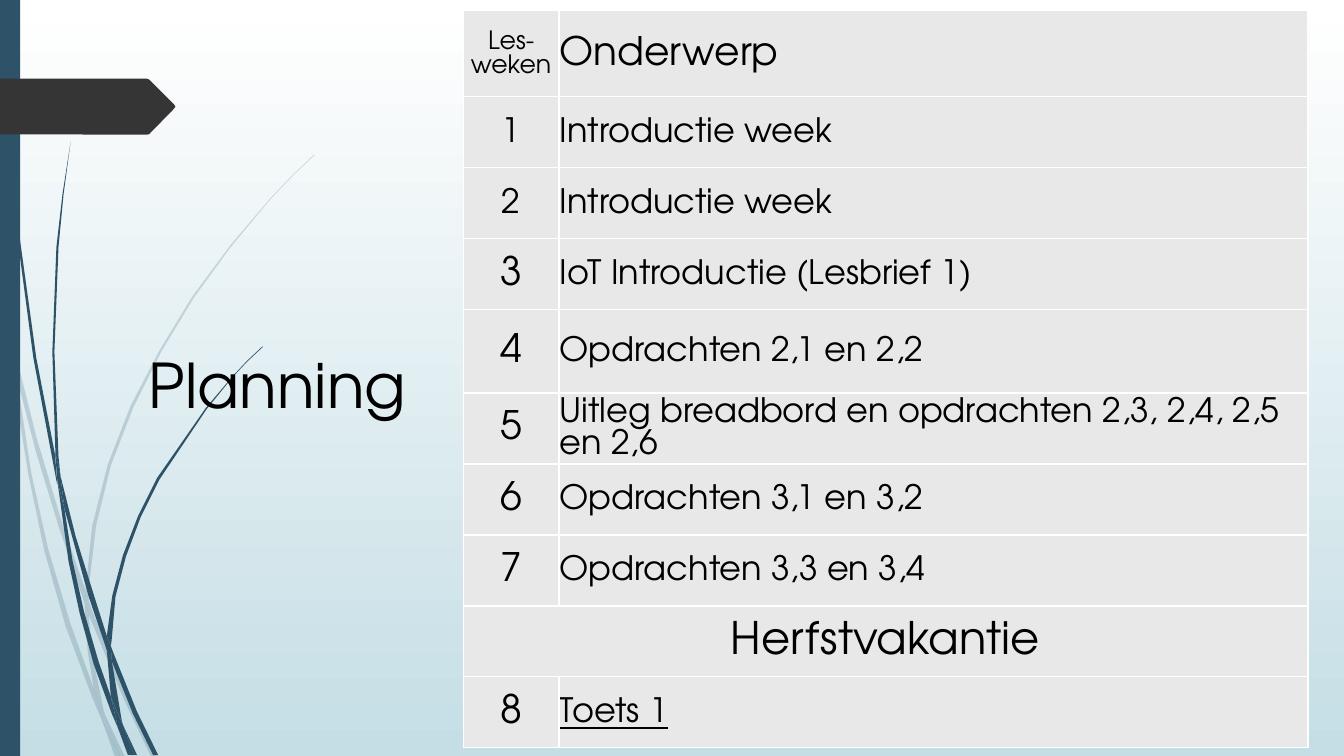
from dataclasses import dataclass

from lxml import etree
from pptx import Presentation
from pptx import util as u
from pptx.dml.color import RGBColor
from pptx.enum import shapes, text
from pptx.oxml import ns

FONT = "TeX Gyre Adventor"
HUES = {"top": "FFFFFF", "base": "C5DEE5", "stem": "2E5369", "tab": "353535",
        "cell": "E8E8E8", "rule": "FFFFFF", "ink": "000000"}


@dataclass
class Grass:
    """A group of blades, each an outline of (x, y) corners."""
    blades: list
    alpha: int = 100


@dataclass
class Row:
    week: str
    topic: str
    high: float = 50.7
    size: int = 28
    big: int = 24
    under: bool = False


PALE = Grass([
    [(7.9, 252), (6.5, 231.8), (0, 203), (0, 215.3), (7.2, 247.7)],
    [(41.8, 375.8), (60.5, 431.3), (61.2, 421.9), (44.6, 374.4),
     (25.9, 311.8), (10.1, 248.4), (12.2, 270.7), (25.9, 323.6)],
    [(66.2, 437), (63.4, 429.1), (63.4, 439.2), (88.6, 499.7),
     (108, 540.7), (111.6, 540.7), (91.4, 498.2)],
    [(85.7, 540.7), (89.3, 540.7), (75.6, 511.9)],
    [(67, 491.8), (50.4, 445.7), (34.5, 392.4), (22.3, 337.7),
     (12.2, 270.7), (7.9, 252), (13.2, 295.2), (20.2, 338.4),
     (31.6, 393.1), (46.8, 447.1), (66.2, 499), (72.7, 514.1), (71.3, 509)],
    [(60.5, 431.3), (62.6, 465.1), (67, 491.8), (69.1, 498.2),
     (75.6, 511.9), (74.2, 508.3), (65.5, 465.1), (63.4, 439.2),
     (63.4, 437.8)],
    [(63.4, 420.5), (68.6, 375.8), (79.2, 332.6), (95.3, 291),
     (115.2, 251.3), (138.4, 212.8), (164.9, 176.4), (193, 142.6),
     (208.8, 126), (224.6, 110.9), (224.6, 110.2), (208.1, 126),
     (193, 141.8), (164.2, 175.7), (137.3, 212), (113.8, 250.6),
     (93.2, 290.2), (77, 331.9), (65.9, 375.7), (61.2, 420.5),
     (61.2, 421.9), (63.4, 429.1)],
    [(72.7, 514.1), (82.1, 540.7), (85.7, 540.7)],
    [(63.4, 437.8), (63.4, 439.2), (63.4, 429.1), (61.2, 421.9),
     (60.5, 431.3)],
    [(69.1, 498.2), (67, 491.8), (71.3, 509), (72.7, 514.1),
     (85.7, 540.7), (75.6, 511.9)],
], 20)

DARK = Grass([
    [(5, 79.2), (12.2, 167.8), (23.8, 255.6), (40.3, 343.4), (41, 346.3),
     (39.6, 329), (39.6, 326.2), (25.9, 255.6), (13.7, 167), (5.8, 78.5),
     (3.6, 34.6), (2.9, 0), (2.2, 0), (2.9, 34.6)],
    [(63.4, 426.2), (76.3, 464.4), (76.3, 455.8), (76.3, 454.3),
     (67, 424.8), (54, 383), (43.2, 339.8), (46.1, 363.6)],
    [(81.4, 467.3), (79.2, 461.5), (79.9, 472.3), (95, 509.8),
     (109.4, 539.3), (113, 539.3), (97.9, 508.3)],
    [(79.2, 497.5), (70.6, 473), (60.1, 437), (51.8, 400.3), (46.1, 363.6),
     (41, 343.4), (49, 401), (56.9, 437.8), (67, 474.5), (79.9, 509.8),
     (84.2, 519.8), (83.5, 516.2)],
    [(43.2, 339.8), (41.8, 326.2), (38.9, 251.3), (41.8, 176.4),
     (45.4, 139), (50.4, 101.5), (44.6, 139), (40.3, 176.4),
     (37.4, 251.3), (39.6, 323.3)],
    [(95.8, 539.3), (97.9, 539.3), (87.8, 517.7)],
    [(41, 343.4), (46.1, 363.6), (43.2, 339.8), (39.6, 323.3),
     (39.6, 326.2)],
    [(79.9, 455.8), (82.5, 426.2), (90, 397.4), (100.5, 369.4),
     (113.8, 342.7), (147.6, 292.3), (166.3, 269.3), (176.4, 258.5),
     (187.9, 247.7), (187.2, 247.7), (176.4, 257.8), (166.3, 268.6),
     (146.9, 291.6), (112.3, 341.3), (98.7, 368.4), (87.8, 396.7),
     (80.2, 425.5), (76.3, 454.3), (79.2, 461.5)],
    [(84.2, 519.8), (91.4, 539.3), (94.3, 539.3)],
    [(76.3, 464.4), (79.2, 497.5), (83.5, 508.3), (87.8, 517.7),
     (87.1, 515.5), (79.9, 472.3), (78.5, 468.7)],
    [(76.3, 464.4), (78.5, 468.7), (79.9, 472.3), (79.2, 461.5),
     (76.3, 454.3), (76.3, 455.8)],
    [(83.5, 508.3), (79.2, 497.5), (83.5, 516.2), (84.2, 519.8),
     (93.6, 539.3), (95.8, 539.3), (87.8, 517.7)],
])

TAB = [(124.6, 77.4), (106.6, 95.8), (105.1, 96.2), (0, 95.9), (0, 56.2),
       (105.1, 56.2), (106.6, 56.9), (124.6, 74.9), (125.3, 76.2)]

ROWS = [
    Row("Les- weken", "Onderwerp", high=61.8, size=18, big=28),
    Row("1", "Introductie week", size=24),
    Row("2", "Introductie week", size=24),
    Row("3", "IoT Introductie (Lesbrief 1)"),
    Row("4", "Opdrachten 2,1 en 2,2", high=59.5),
    Row("5", "Uitleg breadbord en opdrachten 2,3, 2,4, 2,5 en 2,6"),
    Row("6", "Opdrachten 3,1 en 3,2"),
    Row("7", "Opdrachten 3,3 en 3,4"),
    Row("Herfstvakantie", "", size=32),
    Row("8", "Toets 1", under=True),
]


def hue(name: str) -> RGBColor:
    return RGBColor.from_string(HUES[name])


def paint(shape, name: str) -> None:
    shape.shadow.inherit = False
    shape.fill.solid()
    shape.fill.fore_color.rgb = hue(name)
    shape.line.fill.background()


def draw_form(slide, dots: list, name: str, alpha: int = 100) -> None:
    edge = [(u.Pt(x), u.Pt(y)) for x, y in dots]
    pen = slide.shapes.build_freeform(*edge[0])
    pen.add_line_segments(edge[1:], close=True)
    form = pen.convert_to_shape()
    paint(form, name)
    if alpha < 100:
        tone = form.element.spPr.find(".//" + ns.qn("a:srgbClr"))
        etree.SubElement(tone, ns.qn("a:alpha"), val=str(alpha * 1000))


def style(para, size: int, align) -> None:
    para.alignment = align
    for run in para.runs:
        run.font.name = FONT
        run.font.size = u.Pt(size)
        run.font.color.rgb = hue("ink")


def fill_cell(cell, words: str, size: int, align) -> None:
    cell.fill.solid()
    cell.fill.fore_color.rgb = hue("cell")
    cell.vertical_anchor = text.MSO_ANCHOR.MIDDLE
    cell.margin_left = cell.margin_right = cell.margin_top = u.Pt(.5)
    cell.margin_bottom = u.Pt(0)
    props = cell._tc.get_or_add_tcPr()
    for i, side in enumerate("LRTB"):
        line = etree.Element(ns.qn(f"a:ln{side}"), w=str(u.Pt(1)))
        solid = etree.SubElement(line, ns.qn("a:solidFill"))
        etree.SubElement(solid, ns.qn("a:srgbClr"), val=HUES["rule"])
        props.insert(i, line)
    para = cell.text_frame.paragraphs[0]
    para.text = words
    para.line_spacing = u.Pt(round(size * .95, 1))
    style(para, size, align)


def add_plan(slide) -> None:
    wide = (68.4, 535)
    high = sum(row.high for row in ROWS)
    box = map(u.Pt, (330.9, 7.4, sum(wide), high))
    grid = slide.shapes.add_table(len(ROWS), 2, *box).table
    grid.first_row = grid.horz_banding = False
    for col, span in zip(grid.columns, wide):
        col.width = u.Pt(span)
    for i, row in enumerate(ROWS):
        grid.rows[i].height = u.Pt(row.high)
        week, topic = grid.cell(i, 0), grid.cell(i, 1)
        fill_cell(week, row.week, row.size, text.PP_ALIGN.CENTER)
        fill_cell(topic, row.topic, row.big, text.PP_ALIGN.LEFT)
        if not row.topic:
            week.merge(topic)
        if row.under:
            topic.text_frame.paragraphs[0].runs[0].font.underline = True


def set_title(slide) -> None:
    title = slide.shapes.title
    title.left, title.top = u.Pt(99), u.Pt(244)
    title.width, title.height = u.Pt(215.3), u.Pt(238.3)
    frame = title.text_frame
    frame.text = "Planning"
    frame.word_wrap = True
    frame.vertical_anchor = text.MSO_ANCHOR.TOP
    style(frame.paragraphs[0], 44, text.PP_ALIGN.LEFT)
    title.element.getparent().append(title.element)


def set_sky(slide) -> None:
    sky = slide.background.fill
    sky.gradient()
    sky.gradient_angle = 270
    for stop, name in zip(sky.gradient_stops, ("top", "base")):
        stop.color.rgb = hue(name)


def main() -> None:
    deck = Presentation()
    deck.slide_width, deck.slide_height = u.Pt(960), u.Pt(540)
    slide = deck.slides.add_slide(deck.slide_layouts[5])
    set_sky(slide)
    for grass in (PALE, DARK):
        for blade in grass.blades:
            draw_form(slide, blade, "stem", grass.alpha)
    box = map(u.Pt, (0, 0, 14.4, 540))
    paint(slide.shapes.add_shape(shapes.MSO_SHAPE.RECTANGLE, *box), "stem")
    draw_form(slide, TAB, "tab")
    set_title(slide)
    add_plan(slide)
    deck.save("out.pptx")


if __name__ == "__main__":
    main()
